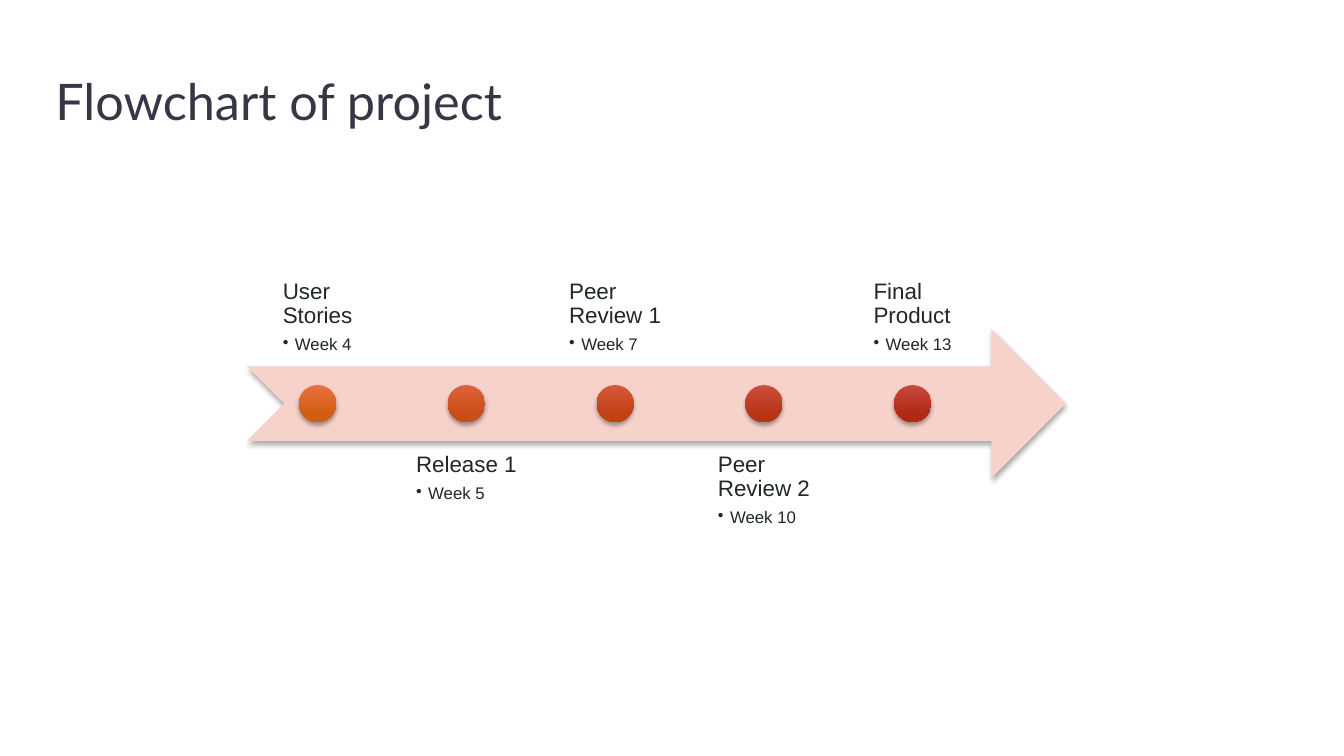
import pptx
import pptx.util
import pptx.dml.color
import pptx.enum.shapes
import pptx.enum.text
import pptx.oxml
import pptx.oxml.ns

Inches, Pt = pptx.util.Inches, pptx.util.Pt
RGBColor = pptx.dml.color.RGBColor
Preset = pptx.enum.shapes.MSO_SHAPE
Anchor = pptx.enum.text.MSO_ANCHOR

WIDTH, HEIGHT = 13.33, 7.5
TITLE_BOX = (0.45, 0.65, 12.42, 0.83)
TIMELINE_BOX = (2.45, 2.16, 8.12, 3.69)
LABEL_SHARE, STEP_SHARE = 0.1725, 0.1817

SLATE = RGBColor(0x35, 0x37, 0x44)
INK = RGBColor(0x20, 0x27, 0x29)
BLUSH = RGBColor(0xF6, 0xD2, 0xCB)

# Name, week, and the top and bottom colour of the dot
MILESTONES = [
    ("User Stories", "Week 4", RGBColor(0xE8, 0x71, 0x3E), RGBColor(0xD2, 0x5D, 0x12)),
    ("Release 1", "Week 5", RGBColor(0xDE, 0x63, 0x3D), RGBColor(0xC9, 0x4D, 0x14)),
    ("Peer Review 1", "Week 7", RGBColor(0xD7, 0x58, 0x3D), RGBColor(0xC2, 0x40, 0x14)),
    ("Peer Review 2", "Week 10", RGBColor(0xCD, 0x4E, 0x3D), RGBColor(0xB9, 0x33, 0x15)),
    ("Final Product", "Week 13", RGBColor(0xC6, 0x48, 0x3D), RGBColor(0xB1, 0x29, 0x15)),
]


def apply(target, formats):
    for name, value in formats.items():
        setattr(target, name, value)


def add_xml(parent, tag, content="", **attributes):
    """Append a drawing element with the given attributes and inner XML."""
    pairs = " ".join(f'{name}="{value}"' for name, value in attributes.items())
    namespace = pptx.oxml.ns.nsdecls("a")
    parent.append(pptx.oxml.parse_xml(f"<a:{tag} {namespace} {pairs}>{content}</a:{tag}>"))


def add_soft_shape(group, preset, box):
    """Add an unlined shape with a soft shadow below it."""
    shape = group.shapes.add_shape(preset, *map(Inches, box))
    shape.line.fill.background()
    shape.shadow.inherit = False
    effects = shape._element.spPr.find(pptx.oxml.ns.qn("a:effectLst"))
    add_xml(effects, "outerShdw",
            '<a:srgbClr val="000000"><a:alpha val="35000"/></a:srgbClr>',
            blurRad=Pt(3), dist=Pt(2), dir=5400000, rotWithShape=0)
    return shape


def add_title(page, box):
    title = page.shapes.title
    apply(title, dict(zip(("left", "top", "width", "height"), map(Inches, box))))
    frame = title.text_frame
    frame.text = "Flowchart of project"
    apply(frame, {"vertical_anchor": Anchor.TOP, "word_wrap": True,
                  "auto_size": pptx.enum.text.MSO_AUTO_SIZE.NONE})
    para = frame.paragraphs[0]
    para.alignment = pptx.enum.text.PP_ALIGN.LEFT
    apply(para.font, {"name": "Lato", "size": Pt(36)})
    para.font.color.rgb = SLATE


def add_label(group, box, name, week, anchor):
    frame = group.shapes.add_textbox(*map(Inches, box)).text_frame
    margins = ("margin_left", "margin_top", "margin_right", "margin_bottom")
    apply(frame, dict.fromkeys(margins, Inches(0.12)))
    apply(frame, {"word_wrap": True, "vertical_anchor": anchor})
    frame._txBody.bodyPr.set("anchorCtr", "1")
    heading, detail = frame.paragraphs[0], frame.add_paragraph()
    for para, text, size in ((heading, name, 16), (detail, week, 12)):
        para.line_spacing = 0.9
        span = para.add_run()
        span.text = text
        apply(span.font, {"name": "Arial", "size": Pt(size)})
        span.font.color.rgb = INK
    apply(detail, {"level": 1, "space_before": Pt(5.6)})
    properties = detail._p.get_or_add_pPr()
    properties.set("marL", str(Inches(0.12)))
    properties.set("indent", str(-Inches(0.12)))
    add_xml(properties, "buClr", f'<a:srgbClr val="{INK}"/>')
    add_xml(properties, "buChar", char="•")


def add_dot(group, box, upper, lower):
    fill = add_soft_shape(group, Preset.OVAL, box).fill
    fill.gradient()
    fill.gradient_angle = 270
    for stop, position, color in zip(fill.gradient_stops, (0, 0.78), (upper, lower)):
        stop.position = position
        stop.color.rgb = color


def add_timeline(page, box):
    left, top, width, height = box
    group = page.shapes.add_group_shape()
    band = height * 0.4
    arrow = add_soft_shape(group, Preset.NOTCHED_RIGHT_ARROW,
                           (left, top + height * 0.3, width, band))
    arrow.fill.solid()
    arrow.fill.fore_color.rgb = BLUSH
    label_width, dot = width * LABEL_SHARE, band / 4
    for index, (name, week, upper, lower) in enumerate(MILESTONES):
        label_left = left + index * width * STEP_SHARE
        below = index % 2 == 1
        label_top = top + height - band if below else top
        add_label(group, (label_left, label_top, label_width, band), name, week,
                  Anchor.TOP if below else Anchor.BOTTOM)
        add_dot(group, (label_left + (label_width - dot) / 2,
                        top + (height - dot) / 2, dot, dot), upper, lower)


def main():
    deck = pptx.Presentation()
    apply(deck, {"slide_width": Inches(WIDTH), "slide_height": Inches(HEIGHT)})
    page = deck.slides.add_slide(deck.slide_layouts.get_by_name("Title Only"))
    add_title(page, TITLE_BOX)
    add_timeline(page, TIMELINE_BOX)
    deck.save("out.pptx")


if __name__ == "__main__":
    main()
